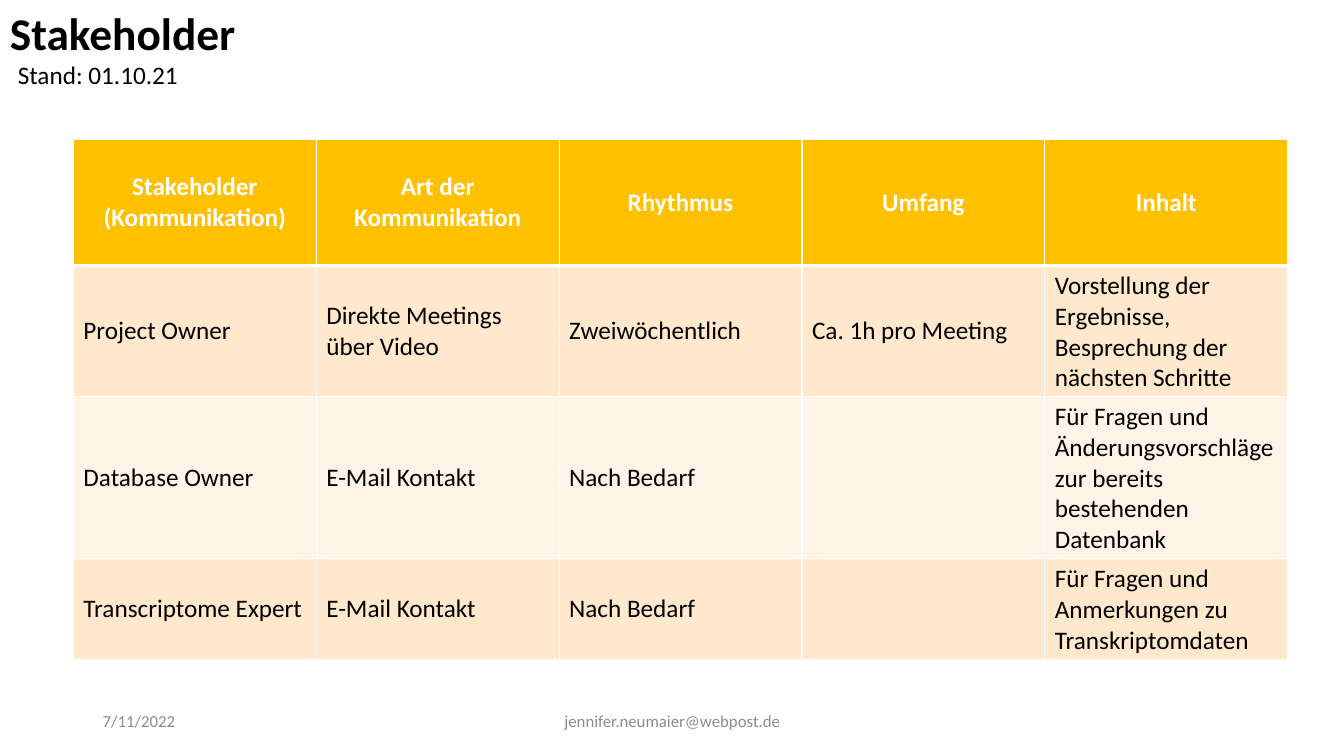
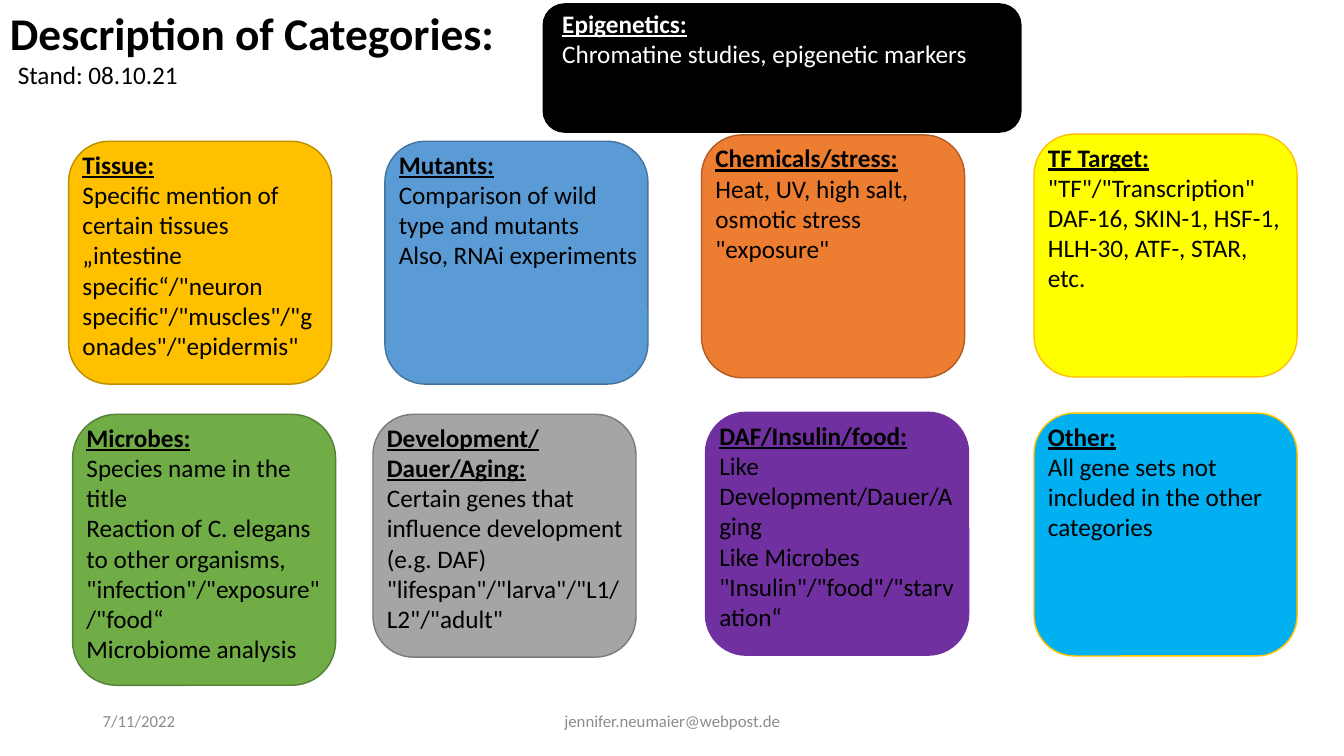
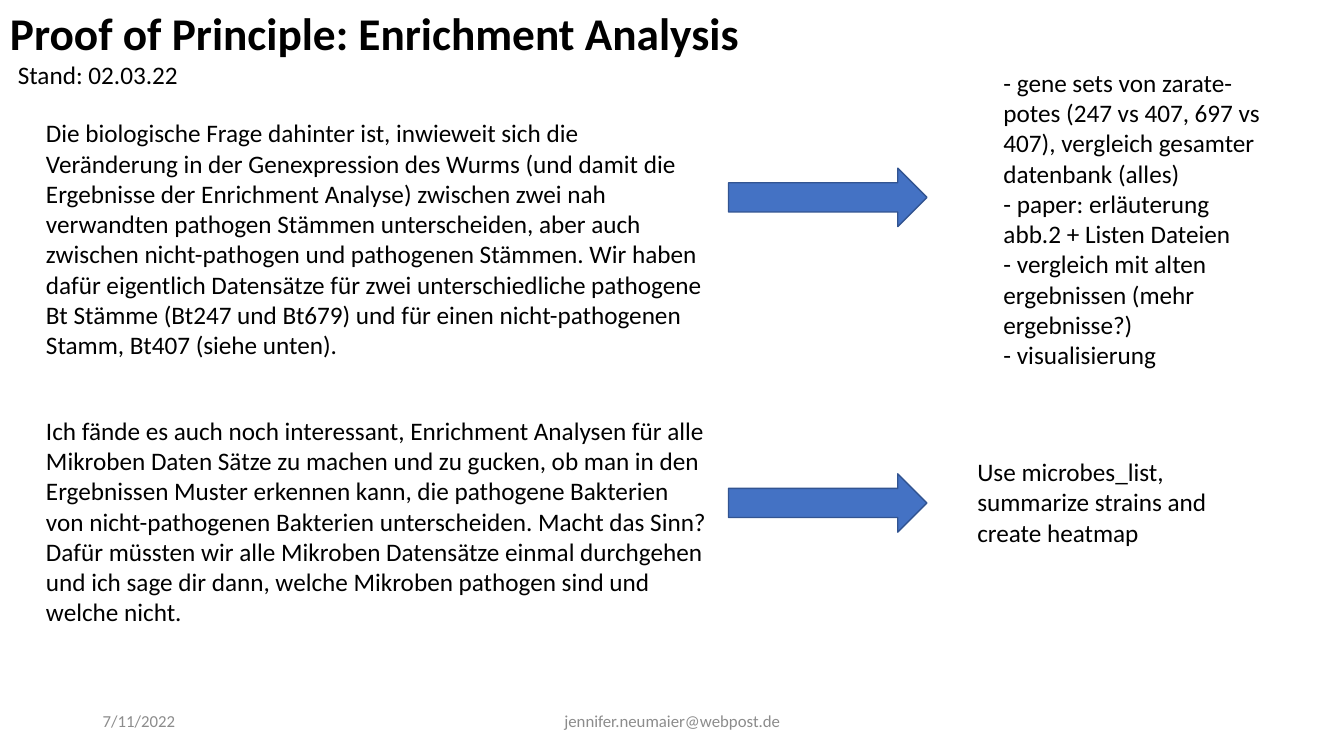
from pptx import Presentation
from pptx.dml.color import RGBColor
from pptx.enum import shapes, text
from pptx.oxml import parse_xml
from pptx.oxml.ns import nsdecls
from pptx.util import Cm, Pt

FONT = "Calibri"
BLACK = RGBColor(0x00, 0x00, 0x00)
WHITE = RGBColor(0xFF, 0xFF, 0xFF)
FOOTER_GREY = RGBColor(0x8C, 0x8C, 0x8C)
AMBER = RGBColor(0xFF, 0xC0, 0x00)
AMBER_DARK = RGBColor(0xBD, 0x8E, 0x00)
ROW_DARK = RGBColor(0xFF, 0xE8, 0xCC)
ROW_LIGHT = RGBColor(0xFF, 0xF4, 0xE7)
BLUE = RGBColor(0x5B, 0x9B, 0xD5)
BLUE_DARK = RGBColor(0x43, 0x73, 0x9E)
GREEN = RGBColor(0x70, 0xAD, 0x47)
GREEN_DARK = RGBColor(0x53, 0x80, 0x35)
GREY = RGBColor(0xA5, 0xA5, 0xA5)
GREY_DARK = RGBColor(0x7A, 0x7A, 0x7A)
ORANGE = RGBColor(0xED, 0x7D, 0x31)
ORANGE_DARK = RGBColor(0xAF, 0x5C, 0x24)
PURPLE = RGBColor(0x70, 0x30, 0xA0)
YELLOW = RGBColor(0xFF, 0xFF, 0x00)
CYAN = RGBColor(0x00, 0xB0, 0xF0)
ARROW_BLUE = RGBColor(0x44, 0x72, 0xC4)
ARROW_EDGE = RGBColor(0x32, 0x54, 0x91)

FOOTER_DATE = "7/11/2022"
FOOTER_MAIL = "jennifer.neumaier@webpost.de"

BOX_W, BOX_H = 6.63, 6.12
# left, top, height, fill, line, heading, lines
CATEGORIES = [
    (1.73, 3.56, BOX_H, AMBER, AMBER_DARK, "Tissue:",
     ["Specific mention of certain tissues",
      '„intestine specific“/"neuron specific"/"muscles"/"gonades"/"epidermis"']),
    (9.7, 3.56, BOX_H, BLUE, BLUE_DARK, "Mutants:",
     ["Comparison of wild type and mutants", "Also, RNAi experiments"]),
    (1.83, 10.44, 6.83, GREEN, GREEN_DARK, "Microbes:",
     ["Species name in the title",
      'Reaction of C. elegans to other organisms, "infection"/"exposure"/"food“',
      "Microbiome analysis"]),
    (9.4, 10.44, BOX_H, GREY, GREY_DARK, "Development/Dauer/Aging:",
     ["Certain genes that influence development (e.g. DAF)",
      '"lifespan"/"larva"/"L1/L2"/"adult"']),
    (17.68, 3.4, BOX_H, ORANGE, ORANGE_DARK, "Chemicals/stress:",
     ["Heat, UV, high salt, osmotic stress", '"exposure"']),
    (17.78, 10.39, BOX_H, PURPLE, PURPLE, "DAF/Insulin/food:",
     ["Like Development/Dauer/Aging",
      'Like Microbes "Insulin"/"food"/"starvation“']),
    (26.06, 3.38, BOX_H, YELLOW, AMBER, "TF Target:",
     ['"TF"/"Transcription"',
      "DAF-16, SKIN-1, HSF-1, HLH-30, ATF-, STAR, etc."]),
    (26.06, 10.41, BOX_H, CYAN, AMBER, "Other:",
     ["All gene sets not included in the other categories"]),
]

STAKEHOLDERS = [
    ["Stakeholder (Kommunikation)", "Art der Kommunikation", "Rhythmus",
     "Umfang", "Inhalt"],
    ["Project Owner", "Direkte Meetings über Video", "Zweiwöchentlich",
     "Ca. 1h pro Meeting",
     "Vorstellung der Ergebnisse, Besprechung der nächsten Schritte"],
    ["Database Owner", "E-Mail Kontakt", "Nach Bedarf", "",
     "Für Fragen und Änderungsvorschläge zur bereits bestehenden Datenbank"],
    ["Transcriptome Expert", "E-Mail Kontakt", "Nach Bedarf", "",
     "Für Fragen und Anmerkungen zu Transkriptomdaten"],
]

QUESTION = (
    "Die biologische Frage dahinter ist, inwieweit sich die Veränderung in der "
    "Genexpression des Wurms (und damit die Ergebnisse der Enrichment Analyse) "
    "zwischen zwei nah verwandten pathogen Stämmen unterscheiden, aber auch "
    "zwischen nicht-pathogen und pathogenen Stämmen. Wir haben dafür eigentlich "
    "Datensätze für zwei unterschiedliche pathogene Bt Stämme (Bt247 und Bt679) "
    "und für einen nicht-pathogenen Stamm, Bt407 (siehe unten).")
QUESTION_STEPS = [
    "- gene sets von zarate-potes (247 vs 407, 697 vs 407), vergleich gesamter "
    "datenbank (alles)",
    "- paper: erläuterung abb.2 + Listen Dateien",
    "- vergleich mit alten ergebnissen (mehr ergebnisse?)",
    "- visualisierung",
]
IDEA = (
    "Ich fände es auch noch interessant, Enrichment Analysen für alle Mikroben "
    "Daten Sätze zu machen und zu gucken, ob man in den Ergebnissen Muster "
    "erkennen kann, die pathogene Bakterien von nicht-pathogenen Bakterien "
    "unterscheiden. Macht das Sinn? Dafür müssten wir alle Mikroben Datensätze "
    "einmal durchgehen und ich sage dir dann, welche Mikroben pathogen sind und "
    "welche nicht.")
IDEA_STEPS = ["Use microbes_list, summarize strains and create heatmap"]


def add_run(p, words, size=18, color=BLACK, bold=False, underline=False):
    r = p.add_run()
    r.text = words
    r.font.name = FONT
    r.font.size = Pt(size)
    r.font.bold = bold
    r.font.underline = underline
    r.font.color.rgb = color


def add_text(parent, box, lines, heading=None, align=text.PP_ALIGN.LEFT,
             anchor=text.MSO_ANCHOR.TOP, spacing=None, **style):
    """Text box with one paragraph per line, after an underlined heading."""
    tf = parent.add_textbox(*map(Cm, box)).text_frame
    tf.word_wrap = True
    tf.vertical_anchor = anchor
    heads = [heading] if heading else []
    for i, words in enumerate(heads + lines):
        p = tf.paragraphs[0] if i == 0 else tf.add_paragraph()
        p.alignment = align
        if spacing:
            p.line_spacing = spacing
        if i < len(heads):
            add_run(p, words, bold=True, underline=True, **style)
        else:
            add_run(p, words, **style)


def add_block(parent, kind, box, fill, line):
    sp = parent.add_shape(kind, *map(Cm, box))
    sp.shadow.inherit = False
    sp.fill.solid()
    sp.fill.fore_color.rgb = fill
    sp.line.color.rgb = line
    sp.line.width = Pt(1)


def add_page(prs, title, date, title_w):
    """Blank slide with the shared title, status date and footer."""
    s = prs.slides.add_slide(prs.slide_layouts[6])
    middle = text.MSO_ANCHOR.MIDDLE
    add_text(s.shapes, (2.34, 17.65, 7.62, 1.02), [FOOTER_DATE],
             anchor=middle, size=12, color=FOOTER_GREY)
    add_text(s.shapes, (11.23, 17.65, 11.43, 1.02), [FOOTER_MAIL],
             align=text.PP_ALIGN.CENTER, anchor=middle, size=12,
             color=FOOTER_GREY)
    add_text(s.shapes, (0, 0.28, title_w, 1.47), [title], spacing=0.8,
             size=32.4, bold=True)
    add_text(s.shapes, (0.2, 1.37, 6.63, 1.02), ["Stand: " + date])
    return s


def set_borders(cell, bottom):
    tc_pr = cell._tc.get_or_add_tcPr()
    widths = {"lnL": 1, "lnR": 1, "lnT": 1, "lnB": bottom}
    for i, (side, width) in enumerate(widths.items()):
        tc_pr.insert(i, parse_xml(
            f'<a:{side} {nsdecls("a")} w="{Pt(width)}"><a:solidFill>'
            f'<a:srgbClr val="{WHITE}"/></a:solidFill></a:{side}>'))


def add_stakeholder_table(s, left, top, col_w, row_heights):
    n_cols = len(STAKEHOLDERS[0])
    table = s.shapes.add_table(
        len(STAKEHOLDERS), n_cols, Cm(left), Cm(top), Cm(col_w * n_cols),
        Cm(sum(row_heights))).table
    for col in table.columns:
        col.width = Cm(col_w)
    for i, (row, height) in enumerate(zip(STAKEHOLDERS, row_heights)):
        header = i == 0
        table.rows[i].height = Cm(height)
        for j, words in enumerate(row):
            cell = table.cell(i, j)
            cell.vertical_anchor = text.MSO_ANCHOR.MIDDLE
            cell.fill.solid()
            cell.fill.fore_color.rgb = (
                AMBER if header else ROW_DARK if i % 2 else ROW_LIGHT)
            set_borders(cell, bottom=3 if header else 1)
            if words:
                p = cell.text_frame.paragraphs[0]
                if header:
                    p.alignment = text.PP_ALIGN.CENTER
                add_run(p, words, color=WHITE if header else BLACK, bold=header)


def add_category(s, box, fill, line, heading, lines):
    left, top, width, height = box
    group = s.shapes.add_group_shape().shapes
    add_block(group, shapes.MSO_SHAPE.ROUNDED_RECTANGLE, box, fill, line)
    add_text(group, (left + 0.1, top + 0.07, width - 0.1, height - 0.5),
             lines, heading)


def add_epigenetics(s, box):
    left, top, width, height = box
    add_block(s.shapes, shapes.MSO_SHAPE.ROUNDED_RECTANGLE, box, BLACK, BLACK)
    add_text(s.shapes, (left + 0.23, top - 0.02, width - 0.99, height - 0.66),
             ["Chromatine studies, epigenetic markers"], "Epigenetics:",
             color=WHITE)


def add_analysis_row(s, box, reason, arrow_dy, steps, steps_at):
    """Reason on the left, an arrow, and the steps that follow from it."""
    left, top, width, height = box
    add_text(s.shapes, (left, top, 17.15, height), [reason])
    add_block(s.shapes, shapes.MSO_SHAPE.RIGHT_ARROW,
              (left + 17.45, top + arrow_dy, 5, 1.47), ARROW_BLUE, ARROW_EDGE)
    dx, dy, steps_h = steps_at
    add_text(s.shapes, (left + dx, top + dy, 7.21, steps_h), steps)


def main():
    prs = Presentation()
    prs.slide_width, prs.slide_height = Cm(33.87), Cm(19.05)

    # Stakeholder table
    s = add_page(prs, "Stakeholder", "01.10.21", 11.23)
    add_stakeholder_table(s, 1.85, 3.51, 6.12, [3.18, 3.3, 4.08, 2.54])

    # Category boxes
    s = add_page(prs, "Description of Categories:", "08.10.21", 13.92)
    add_epigenetics(s, (13.69, 0.1, 12.04, 3.23))
    for left, top, height, *look in CATEGORIES:
        add_category(s, (left, top, BOX_W, height), *look)

    # Analysis plan
    s = add_page(prs, "Proof of Principle: Enrichment Analysis", "02.03.22",
                 20.32)
    add_analysis_row(s, (0.91, 2.84, 31.4, 6.4), QUESTION, 1.4,
                     QUESTION_STEPS, (24.13, -1.27, 7.95))
    add_analysis_row(s, (0.91, 10.34, 31.4, 5.64), IDEA, 1.6,
                     IDEA_STEPS, (23.47, 1.04, 2.57))

    prs.save("out.pptx")


if __name__ == "__main__":
    main()
